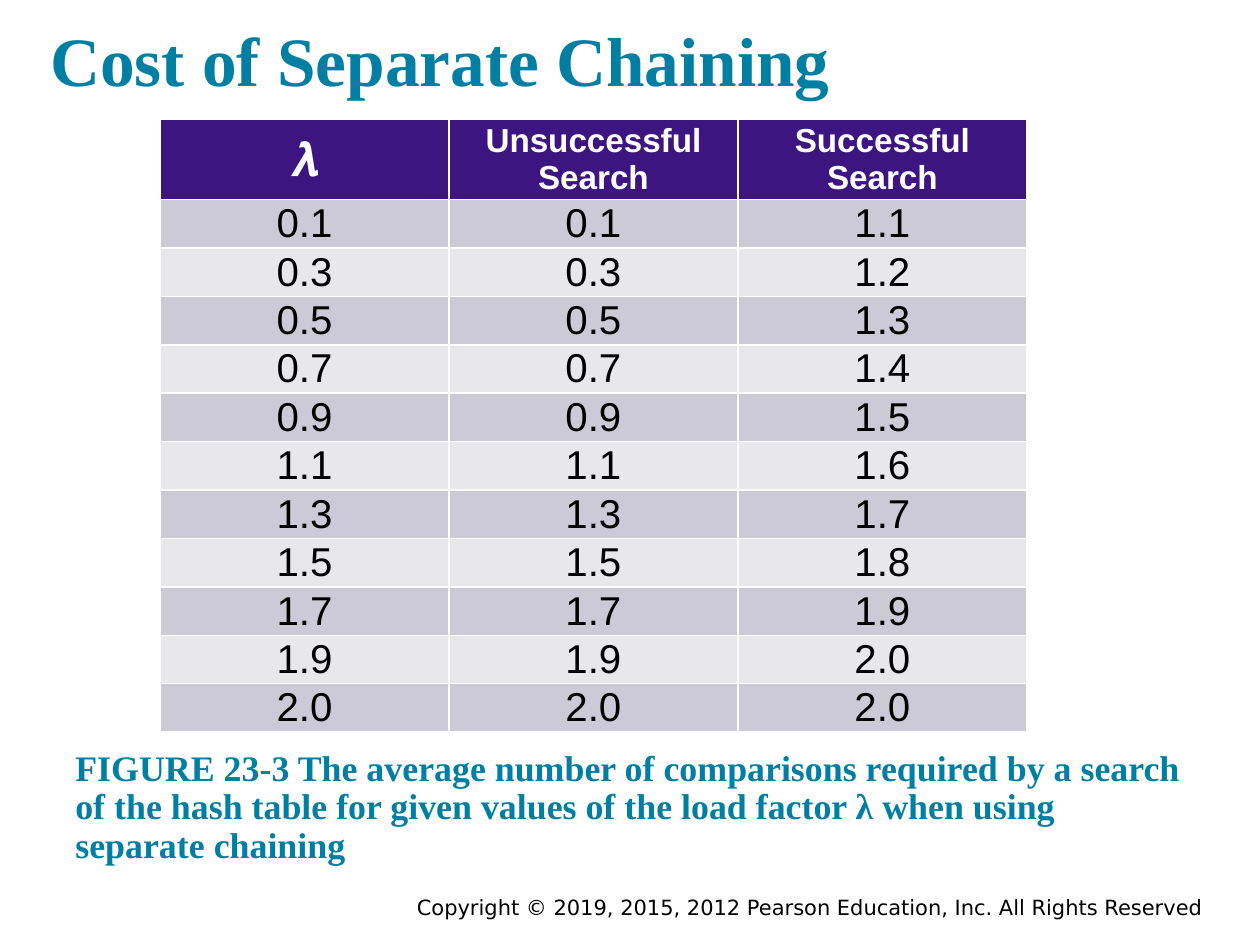
import pptx
import pptx.dml.color
import pptx.enum.text
import pptx.util

WIDTH, HEIGHT = 10, 7.5
TEAL, PURPLE, BLACK, WHITE = "007FA3", "3C1581", "000000", "FFFFFF"
BANDS = ("CDCAD7", "E7E7EC")
ANCHOR = pptx.enum.text.MSO_ANCHOR
ALIGN = pptx.enum.text.PP_ALIGN
HEADING = {"name": "Times New Roman", "bold": True}

HEADERS = ("𝝀", "Unsuccessful Search", "Successful Search")
LOAD_FACTORS = ("0.1", "0.3", "0.5", "0.7", "0.9", "1.1",
                "1.3", "1.5", "1.7", "1.9", "2.0")
SUCCESSFUL = ("1.1", "1.2", "1.3", "1.4", "1.5", "1.6",
              "1.7", "1.8", "1.9", "2.0", "2.0")


def inches(value):
    return pptx.util.Inches(value)


def rgb(value):
    return pptx.dml.color.RGBColor.from_string(value)


def write(tf, text, size, color, margin, align=ALIGN.LEFT, spacing=None, **font):
    p = tf.paragraphs[0]
    p.alignment = align
    p.line_spacing = spacing
    r = p.add_run()
    r.text = text
    r.font.color.rgb = rgb(color)
    for key, value in {"size": pptx.util.Pt(size), **font}.items():
        setattr(r.font, key, value)
    for side in ("left", "top", "right", "bottom"):
        setattr(tf, "margin_" + side, inches(margin))


def add_text(s, box, text, size, color, anchor, margin=0.1, **style):
    """Add a text box; box holds left, top, width, height in shares of the slide."""
    x, y, w, h = box
    sp = s.shapes.add_textbox(inches(x * WIDTH), inches(y * HEIGHT),
                              inches(w * WIDTH), inches(h * HEIGHT))
    tf = sp.text_frame
    tf.word_wrap = True
    tf.vertical_anchor = anchor
    write(tf, text, size, color, margin, **style)


def fill_cell(cell, text, size, color, fill, bold):
    cell.fill.solid()
    cell.fill.fore_color.rgb = rgb(fill)
    cell.vertical_anchor = ANCHOR.MIDDLE
    for side in ("left", "top", "right", "bottom"):
        setattr(cell, "margin_" + side, 0)
    write(cell.text_frame, text, size, color, 0, align=ALIGN.CENTER,
          name="Arial", bold=bold)


def add_cost_table(s):
    left, top, width, height, header_height = 1.27, 0.95, 6.88, 4.86, 0.63
    rows = list(zip(LOAD_FACTORS, LOAD_FACTORS, SUCCESSFUL))
    table = s.shapes.add_table(len(rows) + 1, len(HEADERS), inches(left),
                               inches(top), inches(width), inches(height)).table
    table.rows[0].height = inches(header_height)
    for i in range(1, len(rows) + 1):
        table.rows[i].height = inches((height - header_height) / len(rows))
    for col, text in enumerate(HEADERS):
        fill_cell(table.cell(0, col), text, 19 if col else 27, WHITE, PURPLE, True)
    for i, row in enumerate(rows):
        for col, text in enumerate(row):
            fill_cell(table.cell(i + 1, col), text, 23, BLACK, BANDS[i % 2], False)


def main():
    prs = pptx.Presentation()
    prs.slide_width, prs.slide_height = inches(WIDTH), inches(HEIGHT)
    s = prs.slides.add_slide(prs.slide_layouts[6])
    add_text(s, (0.03, 0.94, 0.93, 0.04),
             "Copyright © 2019, 2015, 2012 Pearson Education, Inc. All Rights Reserved",
             12, BLACK, ANCHOR.TOP, 0.05, align=ALIGN.RIGHT, name="DejaVu Sans")
    add_text(s, (0.03, 0, 0.93, 0.12), "Cost of Separate Chaining",
             39.6, TEAL, ANCHOR.BOTTOM, **HEADING)
    add_text(s, (0.05, 0.78, 0.9, 0.15),
             "FIGURE 23-3 The average number of comparisons required by a search "
             "of the hash table for given values of the load factor λ when using "
             "separate chaining",
             20.5, TEAL, ANCHOR.BOTTOM, spacing=0.9, **HEADING)
    add_cost_table(s)
    prs.save("out.pptx")


if __name__ == "__main__":
    main()
